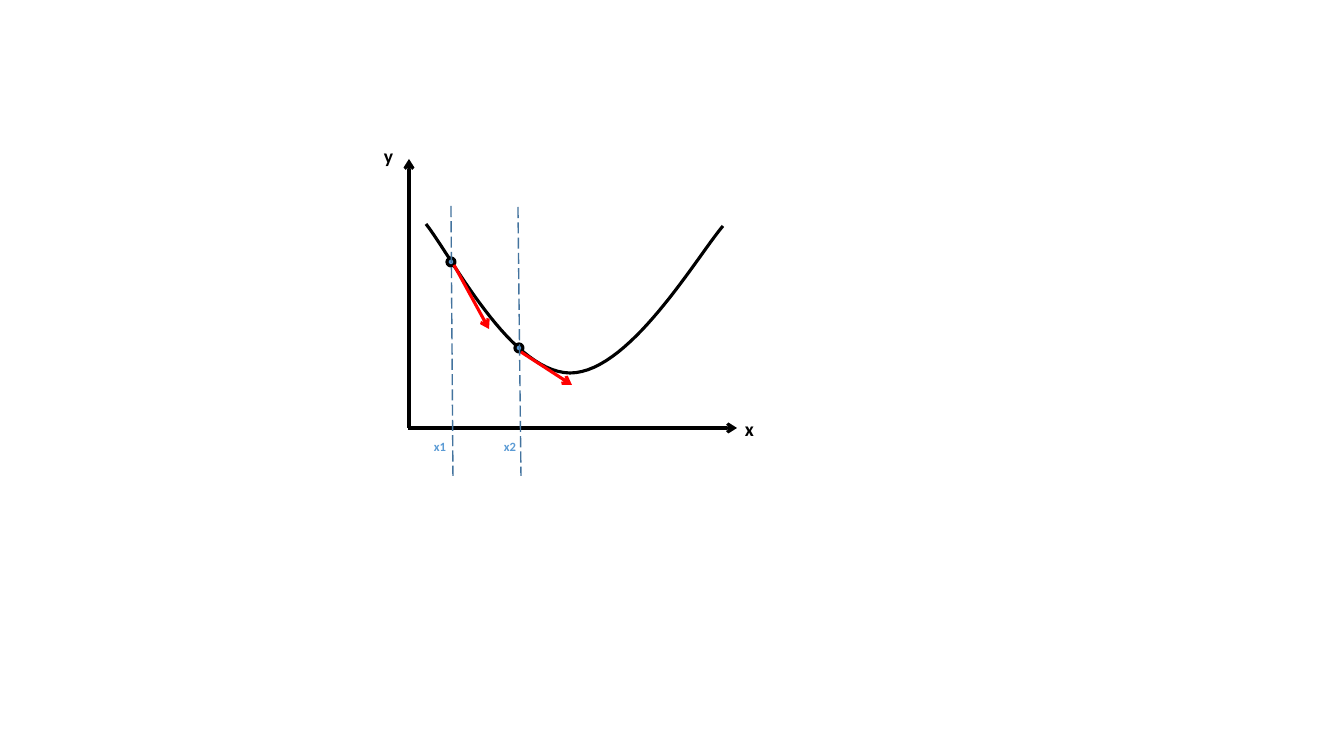
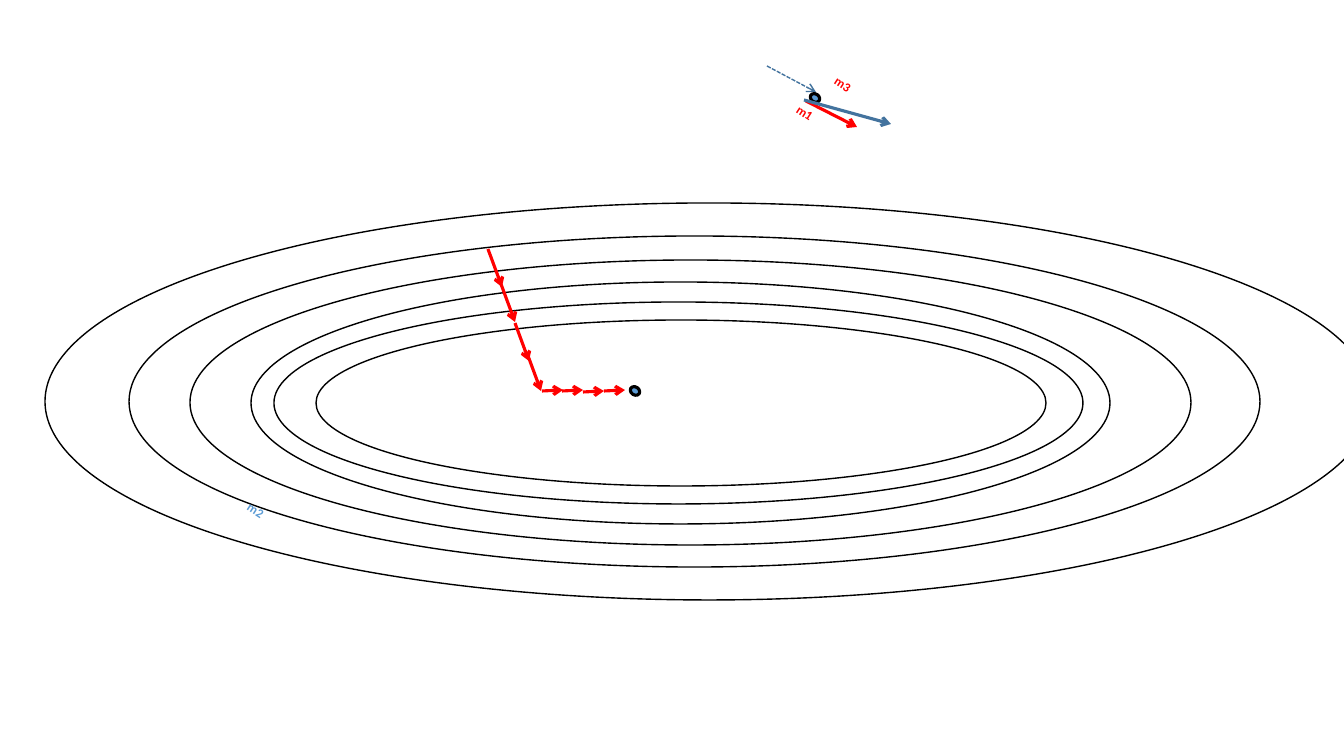
from dataclasses import dataclass

from lxml.etree import SubElement
from pptx import Presentation
from pptx.dml.color import RGBColor
from pptx.enum.dml import MSO_LINE
from pptx.enum.shapes import MSO_CONNECTOR, MSO_SHAPE
from pptx.enum.text import MSO_AUTO_SIZE
from pptx.oxml.ns import qn
from pptx.util import Emu, Pt


@dataclass(frozen=True)
class Theme:
    ink: RGBColor = RGBColor(0x00, 0x00, 0x00)
    red: RGBColor = RGBColor(0xFF, 0x00, 0x00)
    sky: RGBColor = RGBColor(0x5B, 0x9B, 0xD5)
    steel: RGBColor = RGBColor(0x43, 0x73, 0x9E)
    font: str = "Calibri"
    axis_size: Pt = Pt(14)
    label_size: Pt = Pt(9)
    thick: Pt = Pt(2.25)
    thin: Pt = Pt(1)


theme = Theme()
PX = 914400 / 100.8
TILT = 33


def write_text(slide, text, box, *, color, size=theme.label_size, wrap=False, rotation=0):
    label = slide.shapes.add_textbox(*(Emu(round(v * PX)) for v in box))
    label.rotation = rotation
    frame = label.text_frame
    frame.word_wrap = wrap
    frame.auto_size = MSO_AUTO_SIZE.SHAPE_TO_FIT_TEXT
    run = frame.paragraphs[0].add_run()
    run.text = text
    run.font.name = theme.font
    run.font.size = size
    run.font.bold = True
    run.font.color.rgb = color


def draw_line(slide, start, end, *, color, width=theme.thick, dash=None, arrow=True):
    ends = (Emu(round(v * PX)) for v in (*start, *end))
    connector = slide.shapes.add_connector(MSO_CONNECTOR.STRAIGHT, *ends)
    connector.line.color.rgb = color
    connector.line.width = width
    if dash is not None:
        connector.line.dash_style = dash
    properties = connector.element.spPr
    if arrow:
        SubElement(properties.find(qn("a:ln")), qn("a:tailEnd"), type="arrow")
    SubElement(properties, qn("a:effectLst"))


deck = Presentation()
deck.slide_width = Emu(round(1344 * PX))
deck.slide_height = Emu(round(756 * PX))
blank = deck.slide_layouts[6]
slope_slide = deck.slides.add_slide(blank)
contour_slide = deck.slides.add_slide(blank)

# Axes of the cost curve
draw_line(slope_slide, (409, 428), (409, 159), color=theme.ink)
draw_line(slope_slide, (408, 428), (737, 428), color=theme.ink)

# Cost curve: two cubic Bézier arcs meeting at the minimum
arcs = [
    ((426, 224), (452, 257), (510, 372), (570, 373)),
    ((570, 373), (629, 373), (696, 258), (723, 226)),
]
STEPS = 30
curve_points = []
for arc in arcs:
    for step in range(1, STEPS + 1):
        t = step / STEPS
        weights = ((1 - t) ** 3, 3 * t * (1 - t) ** 2, 3 * t * t * (1 - t), t ** 3)
        curve_points.append(
            tuple(PX * sum(w * p[axis] for w, p in zip(weights, arc)) for axis in (0, 1))
        )
outline = slope_slide.shapes.build_freeform(*(round(v * PX) for v in arcs[0][0]))
outline.add_line_segments([(round(x), round(y)) for x, y in curve_points], close=False)
cost_curve = outline.convert_to_shape()
cost_curve.shadow.inherit = False
cost_curve.fill.background()
cost_curve.line.color.rgb = theme.ink
cost_curve.line.width = theme.thick

# Incoming step and gradient that lie under the moving point
draw_line(contour_slide, (806, 101), (857, 127), color=theme.red)
draw_line(contour_slide, (767, 66), (816, 92), color=theme.steel,
          width=theme.thin, dash=MSO_LINE.SQUARE_DOT)

# Contours (no fill) and points (filled)
contours = [
    (45, 203, 1328, 397),
    (129, 236, 1131, 331),
    (190, 260, 1001, 285),
    (251, 282, 859, 242),
    (274, 302, 809, 202),
    (316, 320, 730, 166),
]
points = [
    (slope_slide, (447, 258, 8, 8), 0),
    (slope_slide, (515, 344, 8, 8), 0),
    (contour_slide, (630, 387, 10, 8), TILT),
    (contour_slide, (810, 94, 10, 8), TILT),
]
ellipses = [(contour_slide, box, 0, None, theme.thin) for box in contours]
ellipses += [(slide, box, turn, theme.sky, theme.thick) for slide, box, turn in points]
for slide, box, turn, fill, width in ellipses:
    ellipse = slide.shapes.add_shape(MSO_SHAPE.OVAL, *(Emu(round(v * PX)) for v in box))
    ellipse.shadow.inherit = False
    ellipse.rotation = turn
    ellipse.line.color.rgb = theme.ink
    ellipse.line.width = width
    if fill is None:
        ellipse.fill.background()
    else:
        ellipse.fill.solid()
        ellipse.fill.fore_color.rgb = fill

# Slopes at x1 and x2, with their guides
for start, end in [((454, 265), (489, 329)), ((521, 352), (572, 385))]:
    draw_line(slope_slide, start, end, color=theme.red)
for top, bottom in [((451, 206), (453, 476)), ((518, 207), (521, 476))]:
    draw_line(slope_slide, top, bottom, color=theme.steel,
              width=theme.thin, dash=MSO_LINE.LONG_DASH, arrow=False)

# Resulting momentum
draw_line(contour_slide, (804, 100), (891, 124), color=theme.steel)

# Descent: four steep steps, then four flat ones
descent = [
    ((14, 38), [(488, 249), (501, 284), (515, 323), (527, 353)]),
    ((21, -1), [(542, 391), (562, 391), (583, 392), (604, 391)]),
]
for (dx, dy), starts in descent:
    for x, y in starts:
        draw_line(contour_slide, (x, y), (x + dx, y + dy), color=theme.red)

# Labels
for text, box in [("x1", (424, 434, 33, 26)), ("x2", (494, 434, 33, 26))]:
    write_text(slope_slide, text, box, color=theme.sky)
for text, box in [("x", (735, 412, 30, 35)), ("y", (374, 139, 30, 35))]:
    write_text(slope_slide, text, box, color=theme.ink, size=theme.axis_size)
for text, box, color in [
    ("m1", (786, 103, 47, 25), theme.red),
    ("m2", (237, 500, 46, 25), theme.sky),
    ("m3", (824, 74, 46, 25), theme.red),
]:
    write_text(contour_slide, text, box, color=color, wrap=True, rotation=TILT)

deck.save("out.pptx")
